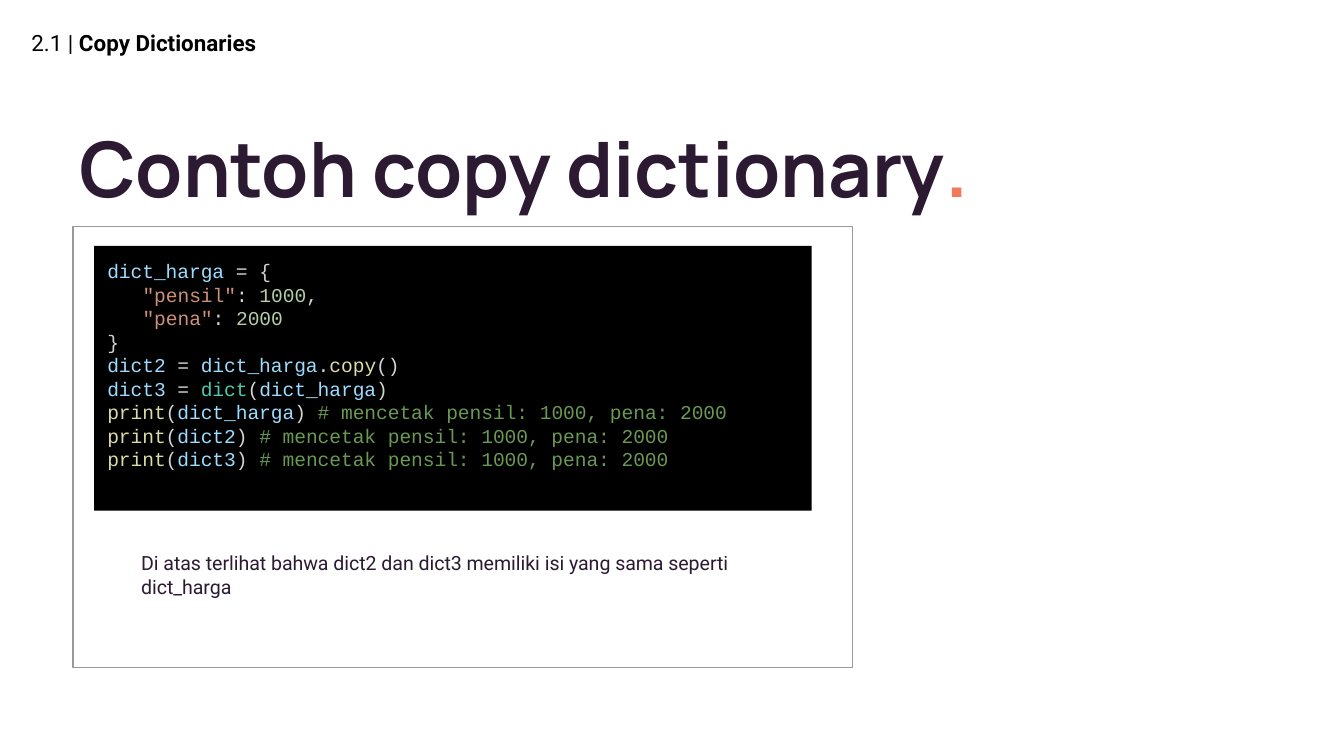
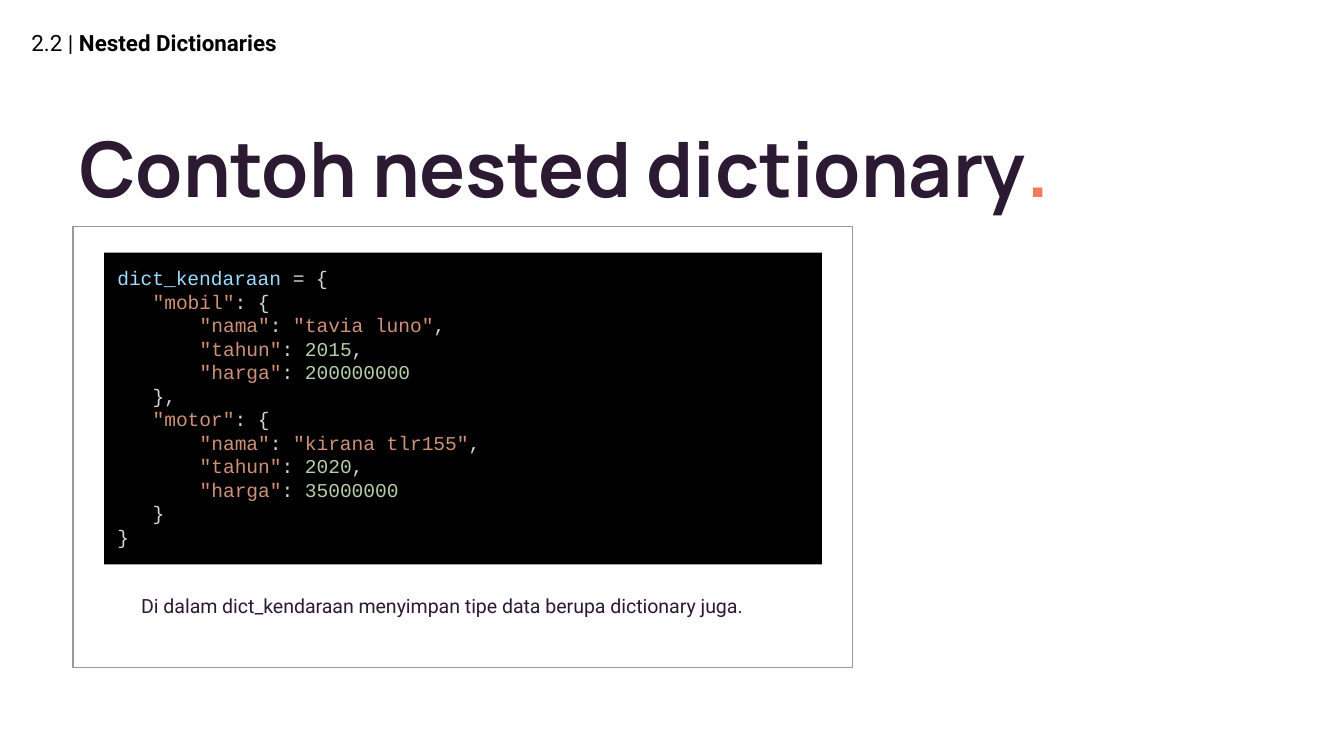
from dataclasses import dataclass
from itertools import groupby
from typing import Iterator, NamedTuple

from pptx import Presentation
from pptx import util as u
from pptx.dml.color import RGBColor
from pptx.enum import shapes, text
from pptx.oxml.ns import qn

PX = u.Inches(1) // 200
INK, CORAL, BLACK, GREY = "2C1A32", "F07A5A", "000000", "999999"
HUES = {
    "name": "9CDCFE", "plain": "D4D4D4", "string": "CE9178", "number": "B5CEA8",
    "call": "DCDCAA", "type": "4EC9B0", "note": "6A9955",
}
KINDS = {"print": "call", "copy": "call", "dict": "type"}
CODE_SIZE = 10.5
CHAR_WIDTH = 0.6  # width of a Courier New letter, in ems


class Box(NamedTuple):
    left: int
    top: int
    width: int
    height: int


class Span(NamedTuple):
    words: str
    color: str
    bold: bool = False


@dataclass
class Page:
    number: str
    topic: str
    title: str
    code: str
    code_box: Box
    note: str
    note_box: Box


HEADER = Box(27, 14, 912, 100)
TITLE = Box(98, 104, 1584, 314)
FRAME = Box(109, 337, 1160, 656)

PAGES = [
    Page(
        "2.1", "Copy Dictionaries", "Contoh copy dictionary",
        '''dict_harga = {
   "pensil": 1000,
   "pena": 2000
}
dict2 = dict_harga.copy()
dict3 = dict(dict_harga)
print(dict_harga) # mencetak pensil: 1000, pena: 2000
print(dict2) # mencetak pensil: 1000, pena: 2000
print(dict3) # mencetak pensil: 1000, pena: 2000''',
        Box(140, 366, 1068, 394),
        "Di atas terlihat bahwa dict2 dan dict3 memiliki isi yang sama seperti dict_harga",
        Box(190, 800, 998, 112),
    ),
    Page(
        "2.2", "Nested Dictionaries", "Contoh nested dictionary",
        '''dict_kendaraan = {
   "mobil": {
       "nama": "tavia luno",
       "tahun": 2015,
       "harga": 200000000
   },
   "motor": {
       "nama": "kirana tlr155",
       "tahun": 2020,
       "harga": 35000000
   }
}''',
        Box(155, 376, 1068, 464),
        "Di dalam dict_kendaraan menyimpan tipe data berupa dictionary juga.",
        Box(190, 864, 998, 76),
    ),
]


def rgb(code: str) -> RGBColor:
    return RGBColor.from_string(code)


def apply(target, values: dict) -> None:
    for key, value in values.items():
        setattr(target, key, value)


def place(shape, box: Box) -> None:
    apply(shape, {key: value * PX for key, value in box._asdict().items()})


def set_frame(shape, anchor) -> None:
    sides = ("left", "top", "right", "bottom")
    apply(shape.text_frame, {
        "word_wrap": True,
        "auto_size": text.MSO_AUTO_SIZE.NONE,
        "vertical_anchor": anchor,
        **{f"margin_{side}": 20 * PX for side in sides},
    })


def write(para, spans, font: str, size: float, spacing: float = 1.0) -> None:
    apply(para, {
        "alignment": text.PP_ALIGN.LEFT,
        "line_spacing": spacing,
        "space_before": u.Pt(0),
    })
    for span in spans:
        run = para.add_run()
        run.text = span.words
        apply(run.font, {"name": font, "size": u.Pt(size), "bold": span.bold})
        run.font.color.rgb = rgb(span.color)


def indent(para, width: int) -> None:
    props = para._p.get_or_add_pPr()
    props.set("marL", str(width))
    props.set("indent", "0")


def add_rect(slide, box: Box, fill: str | None = None, line: str | None = None):
    rect = slide.shapes.add_shape(
        shapes.MSO_SHAPE.RECTANGLE, *(side * PX for side in box))
    rect.shadow.inherit = False
    for part, color in ((rect.fill, fill), (rect.line.fill, line)):
        if color:
            part.solid()
            part.fore_color.rgb = rgb(color)
        else:
            part.background()
    if line:
        rect.line.width = u.Pt(0.75)
    return rect


def is_word(char: str) -> bool:
    return char.isalnum() or char == "_"


def split_code(line: str) -> Iterator[Span]:
    """Cut a line of code into spans coloured by their kind."""
    code, mark, note = line.partition("#")
    for order, part in enumerate(code.split('"')):
        if order % 2:
            yield Span(f'"{part}"', HUES["string"])
            continue
        for word, chars in groupby(part, is_word):
            token = "".join(chars)
            kind = "plain"
            if word:
                kind = "number" if token.isdigit() else KINDS.get(token, "name")
            yield Span(token, HUES[kind])
    if mark:
        yield Span(mark + note, HUES["note"])


def add_header(slide, page: Page) -> None:
    box = slide.shapes.add_textbox(*(side * PX for side in HEADER))
    set_frame(box, text.MSO_ANCHOR.MIDDLE)
    spans = [Span(f"{page.number} |", BLACK), Span(f" {page.topic}", BLACK, True)]
    write(box.text_frame.paragraphs[0], spans, "Roboto", 12)


def fill_title(slide, page: Page) -> None:
    title = slide.shapes.title
    place(title, TITLE)
    set_frame(title, text.MSO_ANCHOR.MIDDLE)
    spans = [Span(page.title, INK, True), Span(".", CORAL, True)]
    write(title.text_frame.paragraphs[0], spans, "Manrope", 41, 0.8)


def fill_note(slide, page: Page) -> None:
    note = slide.placeholders[1]
    place(note, page.note_box)
    set_frame(note, text.MSO_ANCHOR.TOP)
    para = note.text_frame.paragraphs[0]
    write(para, [Span(page.note, INK)], "Roboto", 10.5)
    indent(para, 0)
    props = para._p.get_or_add_pPr()
    props.append(props.makeelement(qn("a:buNone"), {}))


def add_code(slide, page: Page) -> None:
    panel = add_rect(slide, page.code_box, fill=BLACK)
    set_frame(panel, text.MSO_ANCHOR.TOP)
    frame = panel.text_frame
    for row, line in enumerate(page.code.splitlines()):
        para = frame.add_paragraph() if row else frame.paragraphs[0]
        code = line.lstrip()
        write(para, split_code(code), "Courier New", CODE_SIZE)
        depth = len(line) - len(code)
        indent(para, u.Pt(depth * CHAR_WIDTH * CODE_SIZE))


def add_page(deck, page: Page) -> None:
    slide = deck.slides.add_slide(deck.slide_layouts[1])
    add_header(slide, page)
    fill_title(slide, page)
    add_rect(slide, FRAME, line=GREY)
    fill_note(slide, page)
    add_code(slide, page)


def main() -> None:
    deck = Presentation()
    apply(deck, {"slide_width": 2000 * PX, "slide_height": 1125 * PX})
    for page in PAGES:
        add_page(deck, page)
    deck.save("out.pptx")


if __name__ == "__main__":
    main()
